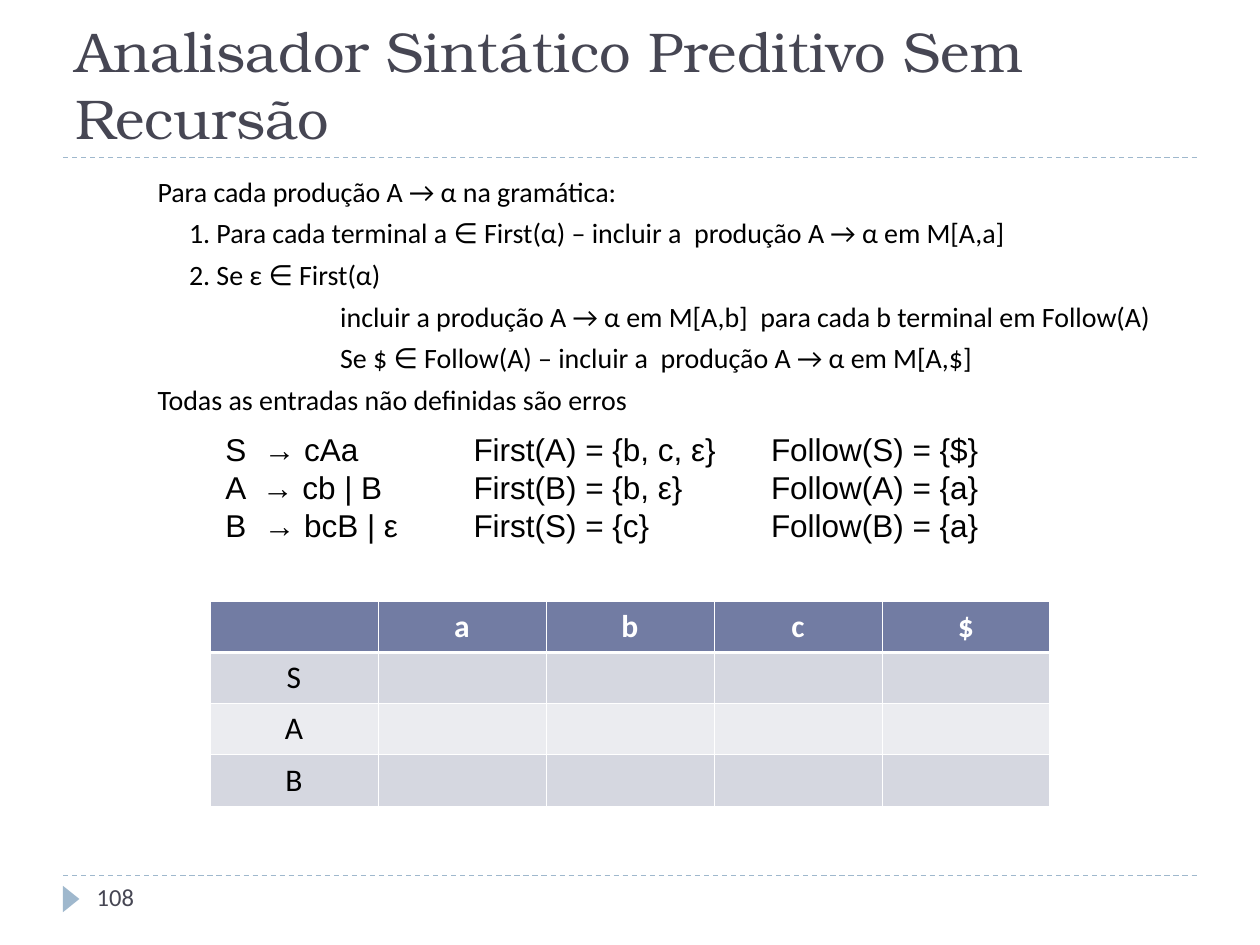
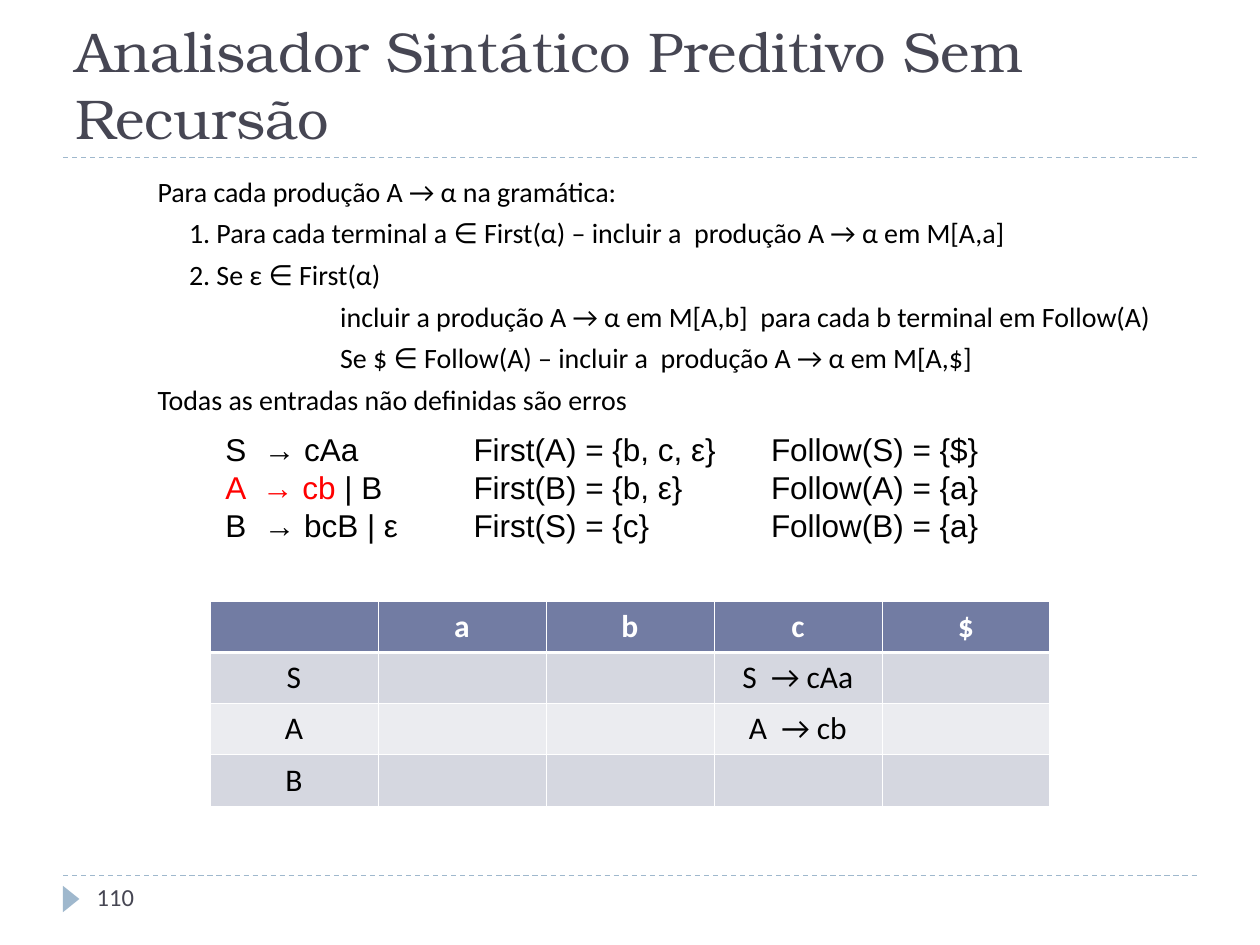
from lxml.etree import SubElement
from pptx import Presentation
from pptx.dml.color import RGBColor
from pptx.enum.dml import MSO_LINE
from pptx.enum.shapes import MSO_CONNECTOR, MSO_SHAPE
from pptx.enum.text import MSO_ANCHOR as Anchor, MSO_AUTO_SIZE as AutoSize, PP_ALIGN as Align
from pptx.oxml.ns import qn
from pptx.util import Pt

INK, BLACK, WHITE, RED = "464653", "000000", "FFFFFF", "FF0000"
ACCENT, HEADER, BAND_DARK, BAND_LIGHT = "9FB8CD", "727CA3", "D5D7E0", "EBECF0"

TITLE = "Analisador Sintático Preditivo Sem Recursão"
TITLE_FONT = {"name": "TeX Gyre Bonum", "size": Pt(32), "bold": False}
RULE_FONT = {"name": "Calibri", "size": Pt(16)}
NUMBER_FONT = {"name": "Calibri", "size": Pt(14)}
SET_FONT = {"name": "Arial", "size": Pt(18)}
HEADER_FONT = {"name": "Calibri", "size": Pt(18), "bold": True}
ENTRY_FONT = {"name": "Calibri", "size": Pt(18), "bold": False}

TITLE_BOX = (36, 12, 648, 78)
RULES_BOX = (36, 96, 648, 388.8)
SETS_BOX = (121.7, 242, 476, 72)
TABLE_BOX = (120, 343.7, 480, 116.8)
FOOTER_BOX = (36, 500.4, 648, 28.8)

# Left indent in points and wording of each step
RULES = [
    (46.8, "Para cada produção A → α na gramática:"),
    (64.8, "1. Para cada terminal a ∈ First(α) – incluir a  produção A → α em M[A,a]"),
    (64.8, "2. Se ε ∈ First(α)"),
    (151.2, "incluir a produção A → α em M[A,b]  para cada b terminal em Follow(A)"),
    (151.2, "Se $ ∈ Follow(A) – incluir a  produção A → α em M[A,$]"),
    (46.8, "Todas as entradas não definidas são erros"),
]
GRAMMAR = ["S  → cAa", "A  → cb | B", "B  → bcB | ε"]
FIRST_SETS = ["First(A) = {b, c, ε}", "First(B) = {b, ε}", "First(S) = {c}"]
FOLLOW_SETS = ["Follow(S) = {$}", "Follow(A) = {a}", "Follow(B) = {a}"]
TERMINALS = ["a", "b", "c", "$"]
NONTERMINALS = ["S", "A", "B"]


def rgb(hex_code):
    return RGBColor.from_string(hex_code)


def points(*lengths):
    return [Pt(length) for length in lengths]


def set_values(target, values):
    for name, value in values.items():
        setattr(target, name, value)


def add_run(paragraph, text, font, color):
    run = paragraph.add_run()
    run.text = text
    set_values(run.font, font)
    run.font.color.rgb = rgb(color)


def place(shape, box):
    set_values(shape, dict(zip(("left", "top", "width", "height"), points(*box))))


def paragraphs(frame, count):
    return [frame.paragraphs[0]] + [frame.add_paragraph() for _ in range(count - 1)]


def add_title(slide, box):
    title = slide.shapes.title
    place(title, box)
    set_values(title.text_frame, {"vertical_anchor": Anchor.BOTTOM, "auto_size": AutoSize.NONE})
    paragraph = title.text_frame.paragraphs[0]
    paragraph.alignment = Align.LEFT
    add_run(paragraph, TITLE, TITLE_FONT, INK)


def add_rules(slide, box):
    """Fill the body with the steps that build the parsing table."""
    body = slide.placeholders[1]
    place(body, box)
    frame = body.text_frame
    frame.auto_size = AutoSize.NONE
    for index, (paragraph, (indent, text)) in enumerate(zip(paragraphs(frame, len(RULES)), RULES)):
        properties = paragraph._p.get_or_add_pPr()
        properties.set("marL", str(Pt(indent)))
        properties.set("indent", "0")
        SubElement(properties, qn("a:buNone"))
        paragraph.space_before = Pt(4.6 if index else 0)
        add_run(paragraph, text, RULE_FONT, BLACK)


def add_set_column(slide, box, lines, highlight):
    """Write one column of lines; the highlighted prefix turns red."""
    frame = slide.shapes.add_textbox(*points(*box)).text_frame
    frame.word_wrap = True
    for paragraph, line in zip(paragraphs(frame, len(lines)), lines):
        paragraph.line_spacing = Pt(21.7)
        if highlight and line.startswith(highlight):
            add_run(paragraph, highlight, SET_FONT, RED)
            line = line.removeprefix(highlight)
        add_run(paragraph, line, SET_FONT, BLACK)


def add_sets(slide, box, highlight):
    left, top, _, height = box
    columns = [(0, 118.8, GRAMMAR), (141.8, 164.2, FIRST_SETS), (311.8, 164.2, FOLLOW_SETS)]
    for offset, width, lines in columns:
        add_set_column(slide, (left + offset, top, width, height), lines, highlight)


def add_borders(cell, widths):
    properties = cell._tc.get_or_add_tcPr()
    for side, width in zip("LRTB", widths):
        border = SubElement(properties, qn(f"a:ln{side}"), w=str(Pt(width)))
        fill = SubElement(border, qn("a:solidFill"))
        SubElement(fill, qn("a:srgbClr"), val=WHITE)


def add_parsing_table(slide, box, entries):
    """Draw table M; entries maps (nonterminal, terminal) to a production."""
    rows = [["", *TERMINALS]]
    rows += [[symbol] + [entries.get((symbol, terminal), "") for terminal in TERMINALS]
             for symbol in NONTERMINALS]
    table = slide.shapes.add_table(len(rows), len(rows[0]), *points(*box)).table
    for row_index, row in enumerate(rows):
        is_header = row_index == 0
        fill = HEADER if is_header else BAND_DARK if row_index % 2 else BAND_LIGHT
        font, color = (HEADER_FONT, WHITE) if is_header else (ENTRY_FONT, BLACK)
        top_border = 1.47 if row_index == 1 else 0.45
        bottom_border = 1.47 if is_header else 0.45
        for column_index, text in enumerate(row):
            cell = table.cell(row_index, column_index)
            add_borders(cell, (0.45, 0.45, top_border, bottom_border))
            cell.fill.solid()
            cell.fill.fore_color.rgb = rgb(fill)
            if text:
                paragraph = cell.text_frame.paragraphs[0]
                paragraph.alignment = Align.CENTER
                add_run(paragraph, text, font, color)


def add_divider(slide, left, top, width):
    divider = slide.shapes.add_connector(
        MSO_CONNECTOR.STRAIGHT, *points(left, top, left + width, top))
    set_values(divider.line, {"width": Pt(0.75), "dash_style": MSO_LINE.DASH})
    divider.line.color.rgb = rgb(ACCENT)
    SubElement(divider._element.spPr, qn("a:effectLst"))


def add_footer(slide, box, number):
    left, top, width, height = box
    add_divider(slide, left, top, width)
    marker = slide.shapes.add_shape(
        MSO_SHAPE.ISOSCELES_TRIANGLE, *points(left - 2.9, top + 8.6, 15.1, 9.4))
    marker.rotation = 90
    marker.shadow.inherit = False
    marker.fill.solid()
    marker.fill.fore_color.rgb = rgb(ACCENT)
    marker.line.fill.background()
    label = slide.shapes.add_textbox(*points(left + 12.2, top, 156, height))
    label.text_frame.word_wrap = True
    add_run(label.text_frame.paragraphs[0], str(number), NUMBER_FONT, INK)


def add_parser_slide(deck, number, entries, highlight=""):
    slide = deck.slides.add_slide(deck.slide_layouts[1])
    left, top, width, height = TITLE_BOX
    add_divider(slide, left, top + height, width)
    add_title(slide, TITLE_BOX)
    add_rules(slide, RULES_BOX)
    add_footer(slide, FOOTER_BOX, number)
    add_sets(slide, SETS_BOX, highlight)
    add_parsing_table(slide, TABLE_BOX, entries)


def main():
    deck = Presentation()
    set_values(deck, {"slide_width": Pt(720), "slide_height": Pt(540)})
    add_parser_slide(deck, 108, {})
    add_parser_slide(deck, 110, {("S", "c"): "S  → cAa", ("A", "c"): "A  → cb"}, "A  → cb ")
    deck.save("out.pptx")


if __name__ == "__main__":
    main()
